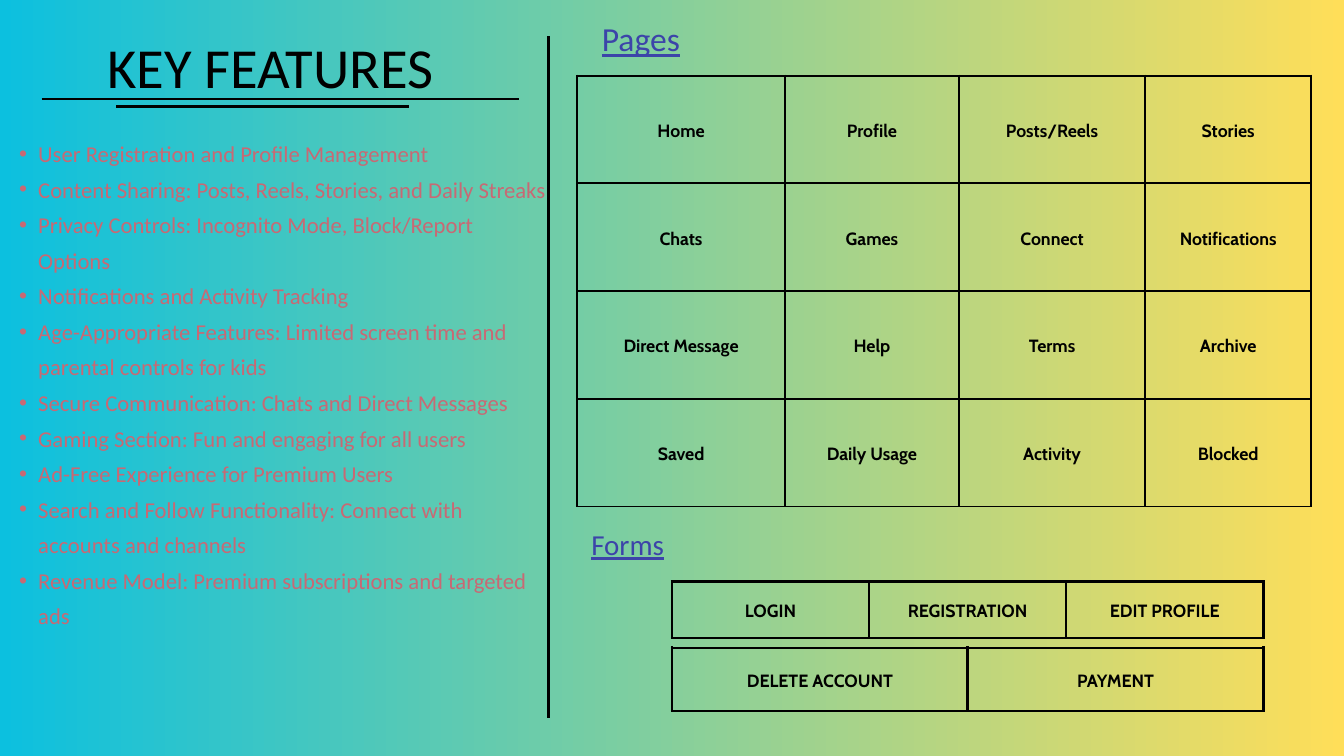
from dataclasses import dataclass
from typing import Any

from lxml.etree import SubElement as Sub
from pptx import Presentation
from pptx.dml.color import RGBColor as RGB
from pptx.enum.shapes import MSO_CONNECTOR as Conn
from pptx.enum.text import MSO_ANCHOR as Anchor, MSO_AUTO_SIZE as Fit, PP_ALIGN as Align
from pptx.oxml.ns import qn
from pptx.util import Pt

BLACK = RGB(0x00, 0x00, 0x00)
INDIGO = RGB(0x3C, 0x44, 0xA9)
ROSE = RGB(0xC8, 0x69, 0x74)
CYAN = RGB(0x0C, 0xC0, 0xDF)
YELLOW = RGB(0xFF, 0xDE, 0x59)

FEATURES = [
    "User Registration and Profile Management",
    "Content Sharing: Posts, Reels, Stories, and Daily Streaks",
    "Privacy Controls: Incognito Mode, Block/Report Options",
    "Notifications and Activity Tracking",
    "Age-Appropriate Features: Limited screen time and parental controls for kids",
    "Secure Communication: Chats and Direct Messages",
    "Gaming Section: Fun and engaging for all users",
    "Ad-Free Experience for Premium Users",
    "Search and Follow Functionality: Connect with accounts and channels",
    "Revenue Model: Premium subscriptions and targeted ads",
]
PAGES = [
    ["Home", "Profile", "Posts/Reels", "Stories"],
    ["Chats", "Games", "Connect", "Notifications"],
    ["Direct Message", "Help", "Terms", "Archive"],
    ["Saved", "Daily Usage", "Activity", "Blocked"],
]


def write(par, text, font="Calibri", size=24.3, color=BLACK, lead=38.1,
          align=Align.CENTER, bold=False, under=False):
    par.alignment, par.line_spacing = align, Pt(lead)
    run = par.add_run()
    run.text = text
    face = run.font
    face.name, face.size, face.bold, face.underline = font, Pt(size), bold, under
    face.color.rgb = color


def bullet(par, left, hang):
    props = par._p.get_or_add_pPr()
    props.set("marL", str(Pt(left)))
    props.set("indent", str(-Pt(hang)))
    Sub(props, qn("a:buFont"), typeface="Arial")
    Sub(props, qn("a:buChar"), char="•")


def border(cell, width):
    props = cell._tc.get_or_add_tcPr()
    for side in ("L", "R", "T", "B"):
        edge = Sub(props, qn(f"a:ln{side}"), w=str(Pt(width)))
        fill = Sub(edge, qn("a:solidFill"))
        Sub(fill, qn("a:srgbClr"), val=str(BLACK))


@dataclass
class Page:
    slide: Any
    stroke: float = 3
    pad: float = 15
    cell_font: str = "Cabin"
    cell_size: float = 19
    cell_lead: float = 26.6

    def back(self, start, end):
        fill = self.slide.background.fill
        fill.gradient()
        fill.gradient_angle = 0
        for stop, color in zip(fill.gradient_stops, (start, end)):
            stop.color.rgb = color

    def frame(self, shape):
        frame = shape.text_frame
        frame.word_wrap, frame.auto_size = True, Fit.NONE
        frame.vertical_anchor = Anchor.TOP
        frame.margin_left = frame.margin_right = 0
        frame.margin_top = frame.margin_bottom = 0
        return frame

    def title(self, text, x, y, w, h, **style):
        shape = self.slide.shapes.title
        shape.left, shape.top, shape.width, shape.height = map(Pt, (x, y, w, h))
        write(self.frame(shape).paragraphs[0], text, **style)

    def box(self, x, y, w, h):
        return self.frame(self.slide.shapes.add_textbox(*map(Pt, (x, y, w, h))))

    def label(self, text, x, y, w, h, **style):
        write(self.box(x, y, w, h).paragraphs[0], text, **style)

    def bullets(self, items, x, y, w, h, **style):
        frame = self.box(x, y, w, h)
        for i, item in enumerate(items):
            par = frame.add_paragraph() if i else frame.paragraphs[0]
            par.level = 1
            write(par, item, align=Align.LEFT, **style)
            bullet(par, 41, 20.5)

    def line(self, x1, y1, x2, y2):
        line = self.slide.shapes.add_connector(Conn.STRAIGHT, *map(Pt, (x1, y1, x2, y2)))
        line.line.width, line.line.color.rgb = Pt(self.stroke), BLACK
        Sub(line._element.spPr, qn("a:effectLst"))

    def table(self, rows, x, y, widths, height, stroke):
        size = (sum(widths), height * len(rows))
        table = self.slide.shapes.add_table(
            len(rows), len(widths), *map(Pt, (x, y, *size))).table
        table.first_row = table.horz_banding = False
        for col, width in zip(table.columns, widths):
            col.width = Pt(width)
        for row, texts in zip(table.rows, rows):
            row.height = Pt(height)
            for cell, text in zip(row.cells, texts):
                self.cell(cell, text, stroke)

    def cell(self, cell, text, stroke):
        cell.vertical_anchor = Anchor.MIDDLE
        cell.margin_left = cell.margin_right = Pt(self.pad)
        cell.margin_top = cell.margin_bottom = Pt(self.pad)
        border(cell, stroke)
        cell.fill.background()
        write(cell.text_frame.paragraphs[0], text, font=self.cell_font,
              size=self.cell_size, lead=self.cell_lead, bold=True)


def main():
    deck = Presentation()
    deck.slide_width, deck.slide_height = Pt(1440), Pt(810)
    page = Page(deck.slides.add_slide(deck.slide_layouts[5]))
    page.back(CYAN, YELLOW)

    # Title with its double underline, and the divider
    page.title("KEY FEATURES", 38, 22.5, 503.5, 81.5, size=60.6, lead=84.8)
    page.line(44.5, 106, 556, 106)
    page.line(124.5, 114, 438, 114)
    page.line(587.5, 39, 587.5, 769)

    # Feature list
    page.bullets(FEATURES, 0, 141, 587.5, 560, color=ROSE)

    # Pages grid
    page.label("Pages", 642.5, 12.5, 88.5, 48, size=36, lead=50.4, color=INDIGO, under=True)
    page.table(PAGES, 618.5, 81, [222.5, 186.5, 199.5, 178], 115.4, 2.25)

    # Forms: two rows of one width, split evenly
    page.label("Forms", 631.5, 558, 82, 41, size=31, lead=43.4, color=INDIGO, under=True)
    wide = 633.6
    forms = [(["LOGIN", "REGISTRATION", "EDIT PROFILE"], 623, 60.5),
             (["DELETE ACCOUNT", "PAYMENT"], 694, 68)]
    for names, top, height in forms:
        count = len(names)
        page.table([names], 720, top, [wide / count] * count, height, 3)

    deck.save("out.pptx")


if __name__ == "__main__":
    main()
